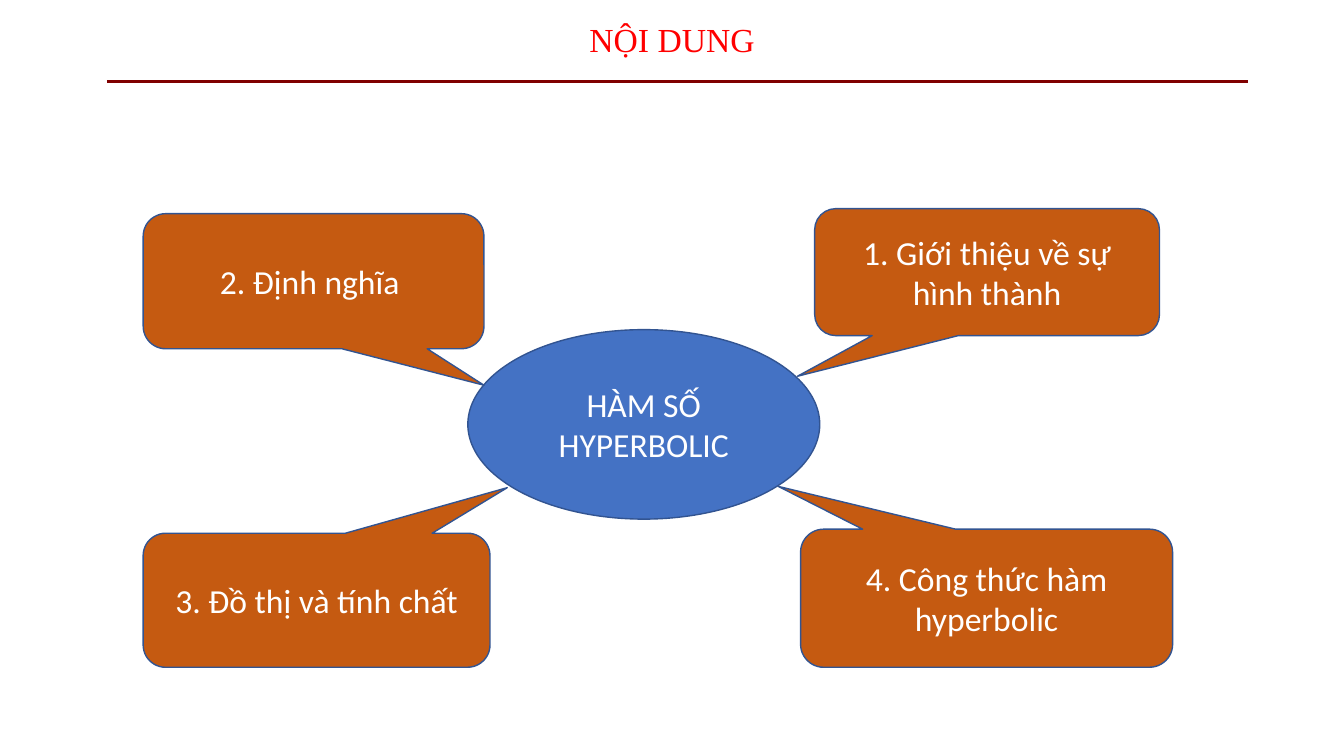
import pptx
import pptx.dml.color
import pptx.enum.shapes
import pptx.enum.text
import pptx.util
from lxml import etree

Inches = pptx.util.Inches
Pt = pptx.util.Pt
SHAPES = pptx.enum.shapes.MSO_SHAPE

COLORS = {
    "title": "FF0000",
    "rule": "800000",
    "hub": "4472C4",
    "topic": "C55A11",
    "outline": "325491",
    "text": "FFFFFF",
}
TITLE_FONT = {"name": "Times New Roman", "size": Pt(24), "bold": False}
BODY_FONT = {"name": "Calibri", "size": Pt(24), "bold": False}


def rgb(key):
    return pptx.dml.color.RGBColor.from_string(COLORS[key])


def write(shape, text, font_format, color):
    frame = shape.text_frame
    frame.text = text
    frame.word_wrap = True
    frame.auto_size = pptx.enum.text.MSO_AUTO_SIZE.NONE
    frame.vertical_anchor = pptx.enum.text.MSO_ANCHOR.MIDDLE
    paragraph = frame.paragraphs[0]
    paragraph.alignment = pptx.enum.text.PP_ALIGN.CENTER
    font = paragraph.runs[0].font
    for attribute, value in font_format.items():
        setattr(font, attribute, value)
    font.color.rgb = rgb(color)


deck = pptx.Presentation()
deck.slide_width, deck.slide_height = Inches(13.33), Inches(7.5)
slide = deck.slides.add_slide(deck.slide_layouts[5])

# Heading
heading = slide.shapes.title
heading_box = {"left": 1, "top": 0.05, "width": 11.33, "height": 0.72}
for attribute, value in heading_box.items():
    setattr(heading, attribute, Inches(value))
write(heading, "NỘI DUNG", TITLE_FONT, "title")
heading.text_frame.paragraphs[0].line_spacing = 0.9

# Rule under the heading
rule = slide.shapes.add_connector(
    pptx.enum.shapes.MSO_CONNECTOR.STRAIGHT,
    Inches(1.06), Inches(0.81), Inches(12.38), Inches(0.81))
rule.line.color.rgb = rgb("rule")
rule.line.width = Pt(2.25)
etree.SubElement(rule._element.spPr, pptx.oxml.ns.qn("a:effectLst"))

# Central subject and its four topics: text, kind, fill, box, callout tip
CALLOUT = SHAPES.ROUNDED_RECTANGULAR_CALLOUT
mind_map = [
    ("HÀM SỐ HYPERBOLIC", SHAPES.OVAL, "hub", (4.64, 3.27, 3.49, 1.88), ()),
    ("1. Giới thiệu về sự hình thành", CALLOUT, "topic",
     (8.08, 2.07, 3.42, 1.26), (-0.55, 0.82)),
    ("2. Định nghĩa ", CALLOUT, "topic",
     (1.42, 2.12, 3.38, 1.34), (0.5, 0.77)),
    ("3. Đồ thị và tính chất", CALLOUT, "topic",
     (1.42, 5.29, 3.44, 1.33), (0.55, -0.84)),
    ("4. Công thức hàm hyperbolic", CALLOUT, "topic",
     (7.94, 5.25, 3.69, 1.37), (-0.56, -0.81)),
]
for text, kind, fill, box, tip in mind_map:
    bubble = slide.shapes.add_shape(kind, *map(Inches, box))
    for index, offset in enumerate(tip):
        bubble.adjustments[index] = offset
    bubble.shadow.inherit = False
    bubble.fill.solid()
    bubble.fill.fore_color.rgb = rgb(fill)
    bubble.line.color.rgb = rgb("outline")
    bubble.line.width = Pt(1)
    write(bubble, text, BODY_FONT, "text")

deck.save("out.pptx")
